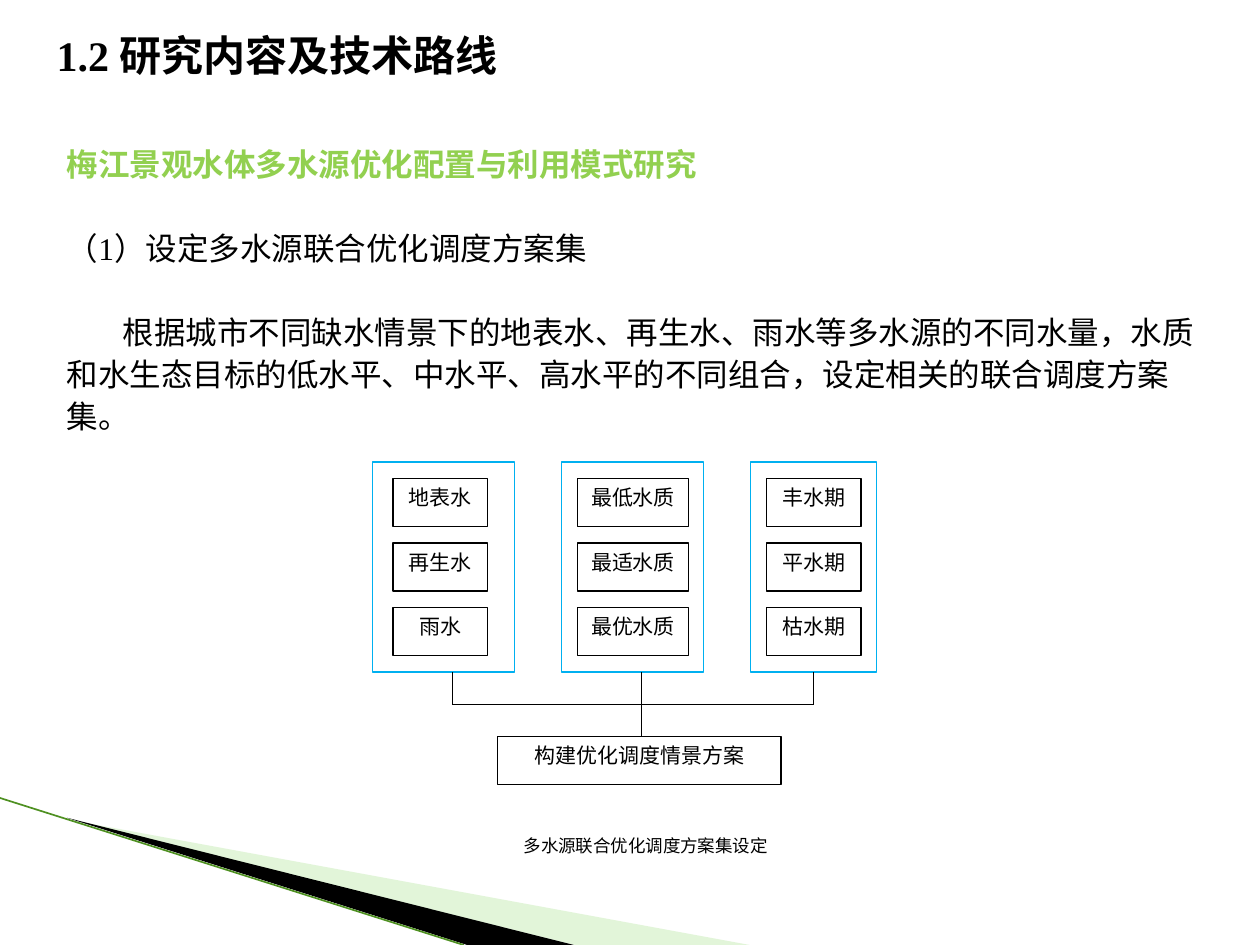
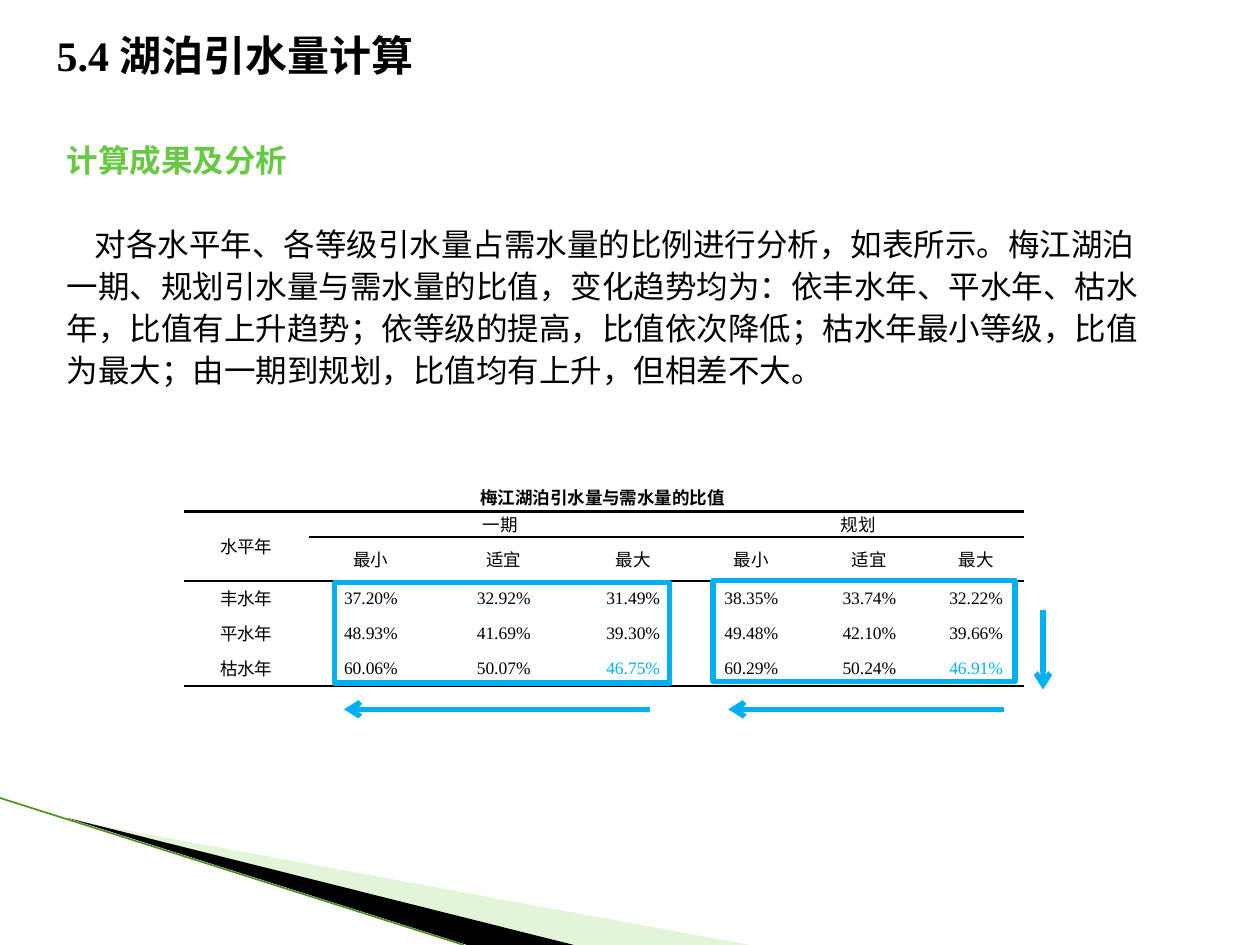
from dataclasses import dataclass

from lxml import etree
from pptx import Presentation
from pptx.dml.color import RGBColor
from pptx.enum.shapes import MSO_CONNECTOR, MSO_SHAPE
from pptx.enum.text import MSO_ANCHOR, MSO_AUTO_SIZE, PP_ALIGN
from pptx.oxml.ns import qn
from pptx.util import Pt

LEFT, CENTER = PP_ALIGN.LEFT, PP_ALIGN.CENTER
TOP, MIDDLE = MSO_ANCHOR.TOP, MSO_ANCHOR.MIDDLE
NO_AUTOFIT = MSO_AUTO_SIZE.NONE
RECTANGLE, STRAIGHT = MSO_SHAPE.RECTANGLE, MSO_CONNECTOR.STRAIGHT


@dataclass(frozen=True)
class Theme:
    black: str = "000000"
    white: str = "FFFFFF"
    cyan: str = "00B0F0"
    lime: str = "92D050"
    green: str = "67C844"
    pale_green: str = "B8E7A1"
    dark_green: str = "4E9021"
    serif: str = "Times New Roman"
    sans: str = "Arial"
    chinese: str = "Noto Sans CJK SC"
    title_size: float = 24
    body_size: float = 18
    box_size: float = 12
    small_size: float = 10
    line_height: float = 24
    thin: float = 0.75
    thick: float = 3


THEME = Theme()


def rgb(color):
    return RGBColor.from_string(color)


def write(paragraph, text, size=THEME.small_size, color=THEME.black, bold=False,
          font=THEME.serif, alignment=LEFT, line_height=None, before=0, indent=0):
    properties = paragraph._p.get_or_add_pPr()
    properties.set("marL", "0")
    properties.set("indent", str(Pt(indent)))
    etree.SubElement(properties, qn("a:buNone"))
    paragraph.alignment = alignment
    paragraph.space_before = Pt(before)
    if line_height:
        paragraph.line_spacing = Pt(line_height)
    run = paragraph.add_run()
    run.text = text
    run.font.size = Pt(size)
    run.font.bold = bold
    run.font.color.rgb = rgb(color)
    run.font.name = font
    east_asian = etree.SubElement(run.font._element, qn("a:ea"))
    east_asian.set("typeface", THEME.chinese)


def place(shape, left, top, width, height):
    shape.left, shape.top = Pt(left), Pt(top)
    shape.width, shape.height = Pt(width), Pt(height)


def add_content_slide(presentation, title, body_width, body_height, paragraphs):
    slide = presentation.slides.add_slide(presentation.slide_layouts[1])
    heading, body = slide.shapes.title, slide.placeholders[1]
    place(heading, 25.2, 15, 648, 32)
    place(body, 31, 77, body_width, body_height)
    for placeholder, anchor in ((heading, MIDDLE), (body, TOP)):
        frame = placeholder.text_frame
        frame.word_wrap = True
        frame.auto_size = NO_AUTOFIT
        frame.vertical_anchor = anchor
    write(heading.text_frame.paragraphs[0], title, size=THEME.title_size, bold=True)
    frame = body.text_frame
    for index, (text, style) in enumerate(paragraphs):
        paragraph = frame.add_paragraph() if index else frame.paragraphs[0]
        write(paragraph, text, size=THEME.body_size, **style)
    return slide


def add_rectangle(slide, left, top, width, height, line_color,
                  line_width=THEME.thin, text=None):
    shape = slide.shapes.add_shape(RECTANGLE, Pt(left), Pt(top), Pt(width), Pt(height))
    shape.shadow.inherit = False
    shape.line.color.rgb = rgb(line_color)
    shape.line.width = Pt(line_width)
    if text is None:
        shape.fill.background()
        return
    shape.fill.solid()
    shape.fill.fore_color.rgb = rgb(THEME.white)
    shape.text_frame.vertical_anchor = TOP
    shape.text_frame.word_wrap = False
    write(shape.text_frame.paragraphs[0], text, size=THEME.box_size, alignment=CENTER)


def add_line(slide, start, end, color=THEME.black, width=THEME.thin, arrow=False):
    connector = slide.shapes.add_connector(STRAIGHT, *map(Pt, start + end))
    connector.line.color.rgb = rgb(color)
    connector.line.width = Pt(width)
    properties = connector.element.spPr
    if arrow:
        tail = etree.SubElement(properties.find(qn("a:ln")), qn("a:tailEnd"))
        tail.set("type", "arrow")
    etree.SubElement(properties, qn("a:effectLst"))
    return connector


def add_polygon(slide, points, color, opacity=100):
    start, *others = [tuple(map(Pt, point)) for point in points]
    builder = slide.shapes.build_freeform(*start)
    builder.add_line_segments(others, close=True)
    shape = builder.convert_to_shape()
    shape.shadow.inherit = False
    shape.fill.solid()
    shape.fill.fore_color.rgb = rgb(color)
    shape.line.fill.background()
    if opacity < 100:
        solid = shape.element.spPr.find(qn("a:solidFill"))
        etree.SubElement(solid[0], qn("a:alpha")).set("val", str(opacity * 1000))
    return shape


def add_caption(slide, text, left, top, width, **style):
    caption = slide.shapes.add_textbox(Pt(left), Pt(top), Pt(width), Pt(15))
    frame = caption.text_frame
    frame.margin_left = frame.margin_right = frame.margin_top = frame.margin_bottom = 0
    frame.word_wrap = False
    write(frame.paragraphs[0], text, **style)


def decorate_layout(slide):
    swoosh = (
        add_polygon(slide, [(39.6, 468.5), (428.4, 540), (328.3, 540)], THEME.pale_green, 40),
        add_polygon(slide, [(38.2, 467.3), (328, 540), (267, 540)], THEME.black),
        add_line(slide, (0, 456), (265, 540), THEME.dark_green, 0.95),
    )
    for number, shape in enumerate(swoosh, start=101):
        shape.element.xpath(".//p:cNvPr")[0].set("id", str(number))
        slide.slide_layout.shapes.element.append(shape.element)


def set_border(cell, side, width, position):
    line = etree.Element(qn(f"a:ln{side}"), w=str(Pt(width)))
    if width:
        solid = etree.SubElement(line, qn("a:solidFill"))
        etree.SubElement(solid, qn("a:srgbClr"), val=THEME.black)
    else:
        etree.SubElement(line, qn("a:noFill"))
    cell._tc.get_or_add_tcPr().insert(position, line)


def rule_width(edge, column):
    if edge == 1 and column == 0:
        return 0
    return {0: 1.5, 1: 1, 2: 1, 5: 1.5}.get(edge, 0)


def add_ruled_table(slide, left, top, widths, heights, rows, merges, highlights):
    frame = slide.shapes.add_table(len(heights), len(widths), Pt(left), Pt(top),
                                   Pt(sum(widths)), Pt(sum(heights)))
    table = frame.table
    table.first_row = table.horz_banding = False
    for column, width in zip(table.columns, widths):
        column.width = Pt(width)
    for row, height in zip(table.rows, heights):
        row.height = Pt(height)
    for first, last in merges:
        table.cell(*first).merge(table.cell(*last))
    for row_index, values in enumerate(rows):
        for column_index, value in enumerate(values):
            cell = table.cell(row_index, column_index)
            cell.fill.background()
            cell.margin_left = cell.margin_right = Pt(5)
            cell.margin_top = cell.margin_bottom = 0
            cell.vertical_anchor = MIDDLE
            borders = (("L", 0), ("R", 0), ("T", rule_width(row_index, column_index)),
                       ("B", rule_width(row_index + 1, column_index)))
            for position, (side, width) in enumerate(borders):
                set_border(cell, side, width, position)
            if value:
                color = THEME.cyan if (row_index, column_index) in highlights else THEME.black
                write(cell.text_frame.paragraphs[0], value, color=color, alignment=CENTER)


def add_scheme_diagram(slide):
    frame_top, frame_height, bus_y, scheme_top = 264, 120, 402.5, 421
    groups = (
        (81, 11.5, 54, 258.5, ("地表水", "再生水", "雨水")),
        (81, 9, 63.5, 366.5, ("最低水质", "最适水质", "最优水质")),
        (72, 9, 54, 465, ("丰水期", "平水期", "枯水期")),
    )
    for column, (width, inset, box_width, stem_x, options) in enumerate(groups):
        left = 213 + 108 * column
        add_rectangle(slide, left, frame_top, width, frame_height, THEME.cyan)
        for row, option in enumerate(options):
            add_rectangle(slide, left + inset, 273.5 + 36.8 * row, box_width, 27.5,
                          THEME.black, text=option)
        add_line(slide, (stem_x, frame_top + frame_height), (stem_x, bus_y))
    stems = [group[3] for group in groups]
    add_line(slide, (stems[0], bus_y), (stems[-1], bus_y))
    add_line(slide, (stems[1], bus_y), (stems[1], scheme_top))
    add_rectangle(slide, 284.3, scheme_top, 162, 27.5, THEME.black, text="构建优化调度情景方案")


def build_research_slide(presentation):
    spaced = {"line_height": THEME.line_height, "before": THEME.line_height}
    slide = add_content_slide(presentation, "1.2 研究内容及技术路线", 659.5, 177, [
        ("梅江景观水体多水源优化配置与利用模式研究",
         {"color": THEME.lime, "bold": True, "line_height": THEME.line_height}),
        ("（1）设定多水源联合优化调度方案集", spaced),
        ("根据城市不同缺水情景下的地表水、再生水、雨水等多水源的不同水量，水质和水生态目标的"
         "低水平、中水平、高水平的不同组合，设定相关的联合调度方案集。", {**spaced, "indent": 32}),
    ])
    decorate_layout(slide)
    add_scheme_diagram(slide)
    add_caption(slide, "多水源联合优化调度方案集设定", 299.2, 477.4, 142, font=THEME.sans)


def build_ratio_slide(presentation):
    slide = add_content_slide(presentation, "5.4 湖泊引水量计算", 635, 150, [
        ("计算成果及分析", {"color": THEME.green, "bold": True}),
        ("对各水平年、各等级引水量占需水量的比例进行分析，如表所示。梅江湖泊一期、规划引水量与"
         "需水量的比值，变化趋势均为：依丰水年、平水年、枯水年，比值有上升趋势；依等级的提高，"
         "比值依次降低；枯水年最小等级，比值为最大；由一期到规划，比值均有上升，但相差不大。",
         {"font": THEME.chinese, "line_height": THEME.line_height,
          "before": THEME.line_height, "indent": 16}),
    ])
    rows = [
        ["水平年", "一期", "", "", "规划", "", ""],
        ["", *["最小", "适宜", "最大"] * 2],
        ["丰水年", "37.20%", "32.92%", "31.49%", "38.35%", "33.74%", "32.22%"],
        ["平水年", "48.93%", "41.69%", "39.30%", "49.48%", "42.10%", "39.66%"],
        ["枯水年", "60.06%", "50.07%", "46.75%", "60.29%", "50.24%", "46.91%"],
    ]
    add_ruled_table(
        slide, 105, 292.3, [71.3, 71.3, 80.5, 67.5, 67.5, 67.5, 54.5],
        [13.7, 25.2, 20, 20, 20], rows,
        merges=[((0, 0), (1, 0)), ((0, 1), (0, 3)), ((0, 4), (0, 6))],
        highlights={(4, 3), (4, 6)})
    add_caption(slide, "梅江湖泊引水量与需水量的比值", 274.5, 278, 142,
                font=THEME.chinese, bold=True)
    arrows = (((371.5, 405.3), (196.6, 405.3)), ((596, 348.5), (596, 394)),
              ((573.8, 405.3), (416.2, 405.3)))
    for start, end in arrows:
        add_line(slide, start, end, THEME.cyan, THEME.thick, arrow=True)
    for left, top, width in ((191.3, 332.8, 191.5), (407.4, 331.7, 172.6)):
        add_rectangle(slide, left, top, width, 57.6, THEME.cyan, THEME.thick)


def main():
    presentation = Presentation()
    presentation.slide_width, presentation.slide_height = Pt(720), Pt(540)
    build_research_slide(presentation)
    build_ratio_slide(presentation)
    presentation.save("out.pptx")


if __name__ == "__main__":
    main()
